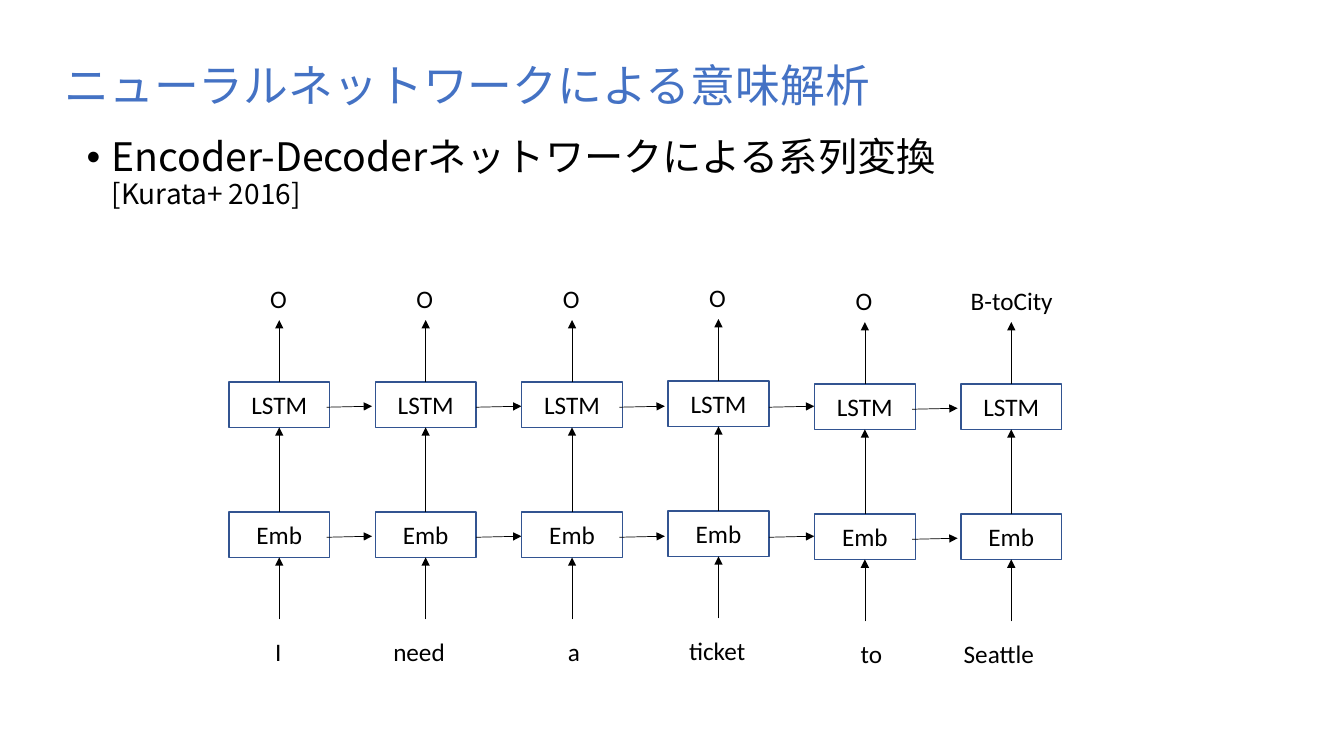
from lxml import etree
from pptx import Presentation
from pptx.dml.color import RGBColor
from pptx.enum.shapes import MSO_CONNECTOR as Connector, MSO_SHAPE as Shape
from pptx.enum.text import MSO_ANCHOR as Anchor, MSO_AUTO_SIZE as AutoSize, PP_ALIGN as Align
from pptx.oxml.ns import qn
from pptx.util import Inches, Pt

TITLE_BLUE = RGBColor(0x44, 0x72, 0xC4)
BOX_BLUE = RGBColor(0x32, 0x54, 0x91)
BLACK = RGBColor(0, 0, 0)
JAPANESE_FONT = "Noto Sans CJK JP"
DIAGRAM_FONT = "Calibri"

GRID_LEFT, COLUMN_PITCH = 2.27, 1.452
CELL_WIDTH, CELL_HEIGHT = 1.0, 0.45
LSTM_ROW, ROW_PITCH = 3.79, 1.29
EMB_ROW = LSTM_ROW + ROW_PITCH
OUTPUT_ROW, WORD_ROW, LABEL_HEIGHT = 2.76, 6.26, 0.4
STEM = 0.615
STEP_ARROW = 0.45

# word, label inset and width, output tag, label inset and width, column drop
TIME_STEPS = [
    ("I", 0.36, 0.28, "O", 0.31, 0.39, 0),
    ("need", 0.08, 0.78, "O", 0.31, 0.39, 0),
    ("a", 0.36, 0.34, "O", 0.31, 0.39, 0),
    ("ticket", 0.11, 0.85, "O", 0.31, 0.39, -0.01),
    ("to", 0.36, 0.43, "O", 0.31, 0.39, 0.02),
    ("Seattle", -0.07, 1.03, "B-toCity", 0, 1.17, 0.02),
]


def add_run(paragraph, text, size, font, color):
    run = paragraph.add_run()
    run.text = text
    run.font.size = Pt(size)
    run.font.name = font
    run.font.color.rgb = color
    east_asian = etree.SubElement(run._r.get_or_add_rPr(), qn("a:ea"))
    east_asian.set("typeface", font)


def add_text_frame(slide, left, top, width, height, wrap=True):
    frame = slide.shapes.add_textbox(
        Inches(left), Inches(top), Inches(width), Inches(height)).text_frame
    frame.word_wrap = wrap
    return frame


def add_title(slide):
    frame = add_text_frame(slide, 0.54, 0.41, 8.62, 0.92)
    frame.vertical_anchor = Anchor.MIDDLE
    heading = frame.paragraphs[0]
    heading.line_spacing = 0.9
    add_run(heading, "ニューラルネットワークによる意味解析", 32, JAPANESE_FONT, TITLE_BLUE)


def add_bullet(slide):
    point = add_text_frame(slide, 0.76, 1.32, 9.08, 5.36).paragraphs[0]
    point.line_spacing = 0.9
    point.space_before = Pt(10)
    properties = point._p.get_or_add_pPr()
    properties.set("marL", str(Inches(0.25)))
    properties.set("indent", str(-Inches(0.25)))
    etree.SubElement(properties, qn("a:buFont")).set("typeface", "Arial")
    etree.SubElement(properties, qn("a:buChar")).set("char", "•")
    add_run(point, "Encoder-Decoderネットワークによる系列変換", 28, JAPANESE_FONT, BLACK)
    point.add_line_break()
    add_run(point, "[Kurata+ 2016]", 20, JAPANESE_FONT, BLACK)


def add_label(slide, text, left, top, width):
    frame = add_text_frame(slide, left, top, width, LABEL_HEIGHT, wrap=False)
    frame.auto_size = AutoSize.SHAPE_TO_FIT_TEXT
    add_run(frame.paragraphs[0], text, 18, DIAGRAM_FONT, BLACK)


def add_cell(slide, text, left, top):
    cell = slide.shapes.add_shape(
        Shape.RECTANGLE, Inches(left), Inches(top), Inches(CELL_WIDTH), Inches(CELL_HEIGHT))
    cell.shadow.inherit = False
    cell.fill.background()
    cell.line.color.rgb = BOX_BLUE
    cell.line.width = Pt(1)
    cell.text_frame.vertical_anchor = Anchor.MIDDLE
    caption = cell.text_frame.paragraphs[0]
    caption.alignment = Align.CENTER
    add_run(caption, text, 18, DIAGRAM_FONT, BLACK)


def add_arrow(slide, start_x, start_y, end_x, end_y):
    arrow = slide.shapes.add_connector(
        Connector.STRAIGHT, Inches(start_x), Inches(start_y), Inches(end_x), Inches(end_y))
    arrow.line.color.rgb = BLACK
    arrow.line.width = Pt(0.5)
    etree.SubElement(arrow.line._get_or_add_ln(), qn("a:tailEnd")).set("type", "triangle")
    etree.SubElement(arrow._element.spPr, qn("a:effectLst"))


def add_time_step(slide, left, step):
    word, word_inset, word_width, tag, tag_inset, tag_width, drop = step
    lstm, emb = LSTM_ROW + drop, EMB_ROW + drop
    center = left + CELL_WIDTH / 2
    add_cell(slide, "Emb", left, emb)
    add_cell(slide, "LSTM", left, lstm)
    emb_bottom = emb + CELL_HEIGHT
    for tail, head in ((emb, lstm + CELL_HEIGHT), (lstm, lstm - STEM),
                       (emb_bottom + STEM, emb_bottom)):
        add_arrow(slide, center, tail, center, head)
    add_label(slide, word, left + word_inset, WORD_ROW + drop, word_width)
    add_label(slide, tag, left + tag_inset, OUTPUT_ROW + drop, tag_width)


def add_step_arrows(slide, column, left, drop):
    start = left + CELL_WIDTH - (0.03 if column % 2 == 0 else 0)
    for row in (LSTM_ROW, EMB_ROW):
        middle = row + 0.25 + max(drop, 0)
        add_arrow(slide, start, middle, start + STEP_ARROW, middle - 0.01)


def main():
    deck = Presentation()
    deck.slide_width, deck.slide_height = Inches(13.33), Inches(7.5)
    slide = deck.slides.add_slide(deck.slide_layouts[6])
    add_title(slide)
    add_bullet(slide)
    for column, step in enumerate(TIME_STEPS):
        left = GRID_LEFT + column * COLUMN_PITCH
        add_time_step(slide, left, step)
        if column < len(TIME_STEPS) - 1:
            add_step_arrows(slide, column, left, step[-1])
    deck.save("out.pptx")


if __name__ == "__main__":
    main()
